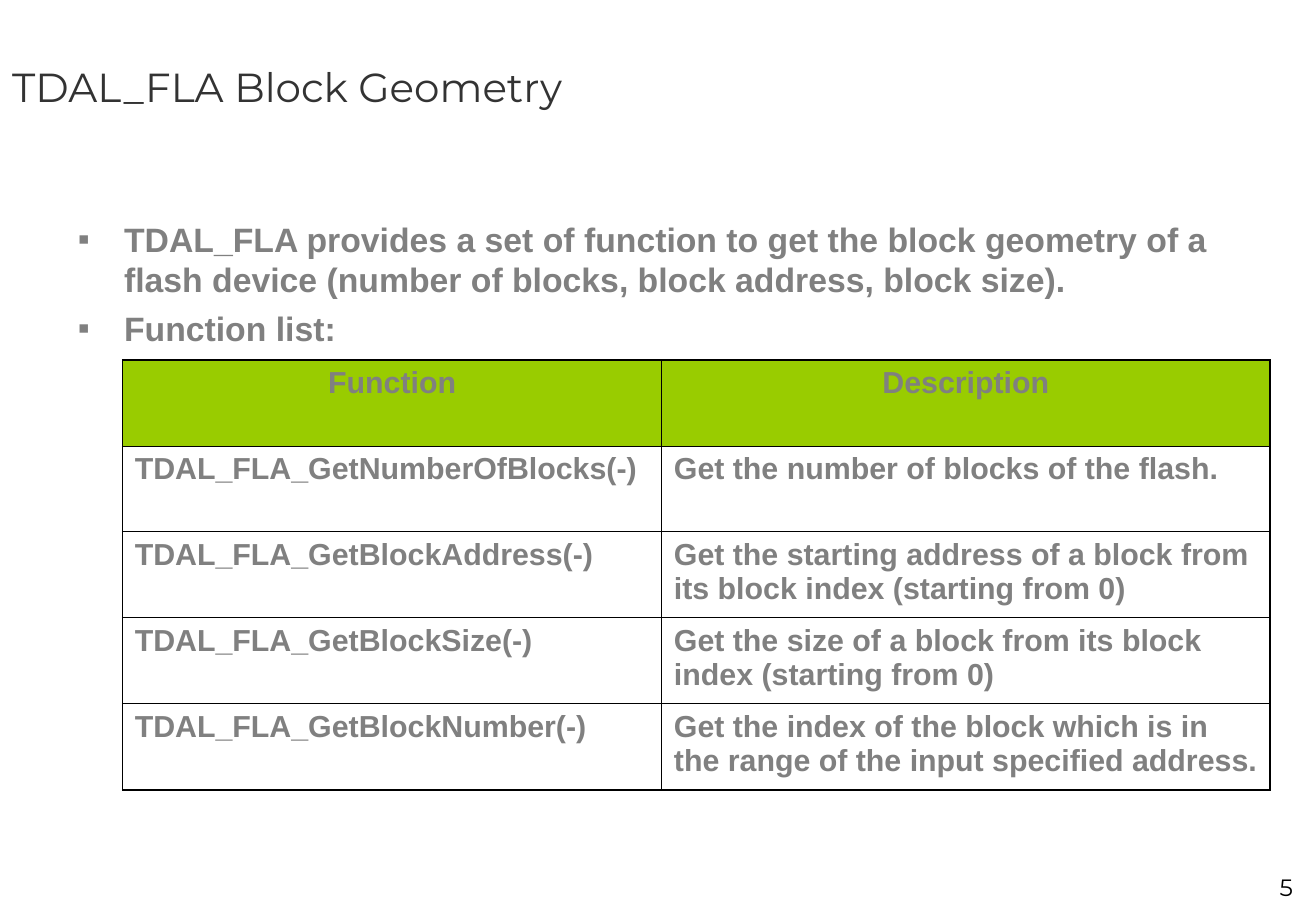
from lxml import etree
from pptx import Presentation
from pptx.dml.color import RGBColor
from pptx.enum.text import MSO_ANCHOR, MSO_AUTO_SIZE, PP_ALIGN
from pptx.oxml.ns import qn
from pptx.util import Inches, Pt

LEFT, CENTER, RIGHT = PP_ALIGN.LEFT, PP_ALIGN.CENTER, PP_ALIGN.RIGHT
TOP, MIDDLE = MSO_ANCHOR.TOP, MSO_ANCHOR.MIDDLE
FIXED = MSO_AUTO_SIZE.NONE
WIDE, HIGH = Inches(10.84), Inches(7.5)
GRAY, DARK, BLACK, GREEN = "808080", "333333", "000000", "99CC00"
THIN, THICK = 0.45, 1.08

TITLE = "TDAL_FLA Block Geometry"
POINTS = [
    "TDAL_FLA provides a set of function to get the block geometry of a "
    "flash device (number of blocks, block address, block size).",
    "Function list:",
]
ROWS = [
    ("Function", "Description"),
    ("TDAL_FLA_GetNumberOfBlocks(-)", "Get the number of blocks of the flash."),
    ("TDAL_FLA_GetBlockAddress(-)",
     "Get the starting address of a block from its block index (starting from 0)"),
    ("TDAL_FLA_GetBlockSize(-)",
     "Get the size of a block from its block index (starting from 0)"),
    ("TDAL_FLA_GetBlockNumber(-)",
     "Get the index of the block which is in the range of the input specified address."),
]


def color(code):
    """Turn a hex string into a colour."""
    return RGBColor.from_string(code)


def tint(node, code):
    """Add a hex colour to an XML node."""
    etree.SubElement(node, qn("a:srgbClr"), val=code)


class Page:
    """Slide with its text style, placed by percent of width and height."""

    def __init__(self, deck):
        """Add a slide with a title and a body."""
        self.slide = deck.slides.add_slide(deck.slide_layouts[1])
        self.head, self.body = "Montserrat", "Arial"

    def box(self, x, y, w, h):
        """Turn percents into left, top, width and height."""
        return [round(part * full / 100)
                for part, full in zip((x, y, w, h), (WIDE, HIGH) * 2)]

    def place(self, shape, area, anchor):
        """Move a text shape and fix its frame."""
        shape.left, shape.top, shape.width, shape.height = self.box(*area)
        frame = shape.text_frame
        frame.word_wrap, frame.auto_size = True, FIXED
        frame.vertical_anchor = anchor
        return frame

    def style(self, para, text, face, size, code, bold=False, align=LEFT, gap=0):
        """Write and format one paragraph."""
        para.text, para.alignment = text, align
        para.space_before, para.line_spacing = Pt(gap), 1.0
        font = para.font
        font.name, font.size, font.bold = face, Pt(size), bold
        font.color.rgb = color(code)

    def title(self, text, area):
        """Fill the title."""
        frame = self.place(self.slide.shapes.title, area, MIDDLE)
        self.style(frame.paragraphs[0], text, self.head, 24, DARK)

    def bullets(self, items, area):
        """Fill the body with a bullet list."""
        frame = self.place(self.slide.placeholders[1], area, TOP)
        for i, text in enumerate(items):
            para = frame.add_paragraph() if i else frame.paragraphs[0]
            props = para._p.get_or_add_pPr()
            props.set("marL", str(Inches(0.38)))
            props.set("indent", str(-Inches(0.38)))
            tint(etree.SubElement(props, qn("a:buClr")), GRAY)
            etree.SubElement(props, qn("a:buChar"), char="▪")
            self.style(para, text, self.body, 20, GRAY, True, gap=5)

    def border(self, cell, sides):
        """Draw the left, right, top and bottom edges of a cell."""
        props = cell._tc.get_or_add_tcPr()
        for side, outer in zip("LRTB", sides):
            width = str(Pt(THICK if outer else THIN))
            line = etree.SubElement(props, qn("a:ln" + side), w=width)
            tint(etree.SubElement(line, qn("a:solidFill")), BLACK)

    def table(self, rows, area, shares):
        """Add a table with a green header and a thick frame."""
        x, y, w, h = self.box(*area)
        last, end = len(rows) - 1, len(shares) - 1
        grid = self.slide.shapes.add_table(last + 1, end + 1, x, y, w, h).table
        grid.horz_banding = False
        for col, share in zip(grid.columns, shares):
            col.width = round(w * share)
        for r, row in enumerate(rows):
            for c, text in enumerate(row):
                cell = grid.cell(r, c)
                self.border(cell, (c == 0, c == end, r == 0, r == last))
                if r:
                    cell.fill.background()
                else:
                    cell.fill.solid()
                    cell.fill.fore_color.rgb = color(GREEN)
                self.style(cell.text_frame.paragraphs[0], text, self.body, 18,
                           GRAY, True, LEFT if r else CENTER, 4.5)

    def number(self, text, area):
        """Add the page number."""
        shape = self.slide.shapes.add_textbox(*self.box(*area))
        frame = self.place(shape, area, TOP)
        self.style(frame.paragraphs[0], text, self.head, 14, BLACK, align=RIGHT)


def main():
    """Build and save the slide."""
    deck = Presentation()
    deck.slide_width, deck.slide_height = WIDE, HIGH
    page = Page(deck)
    page.title(TITLE, (0, 0, 100, 18.9))
    page.bullets(POINTS, (5, 23.33, 90, 66))
    page.table(ROWS, (9.32, 39.5, 87.18, 47.2), (0.47, 0.53))
    page.number("5", (88.47, 95.2, 10.7, 4.4))
    deck.save("out.pptx")


if __name__ == "__main__":
    main()
